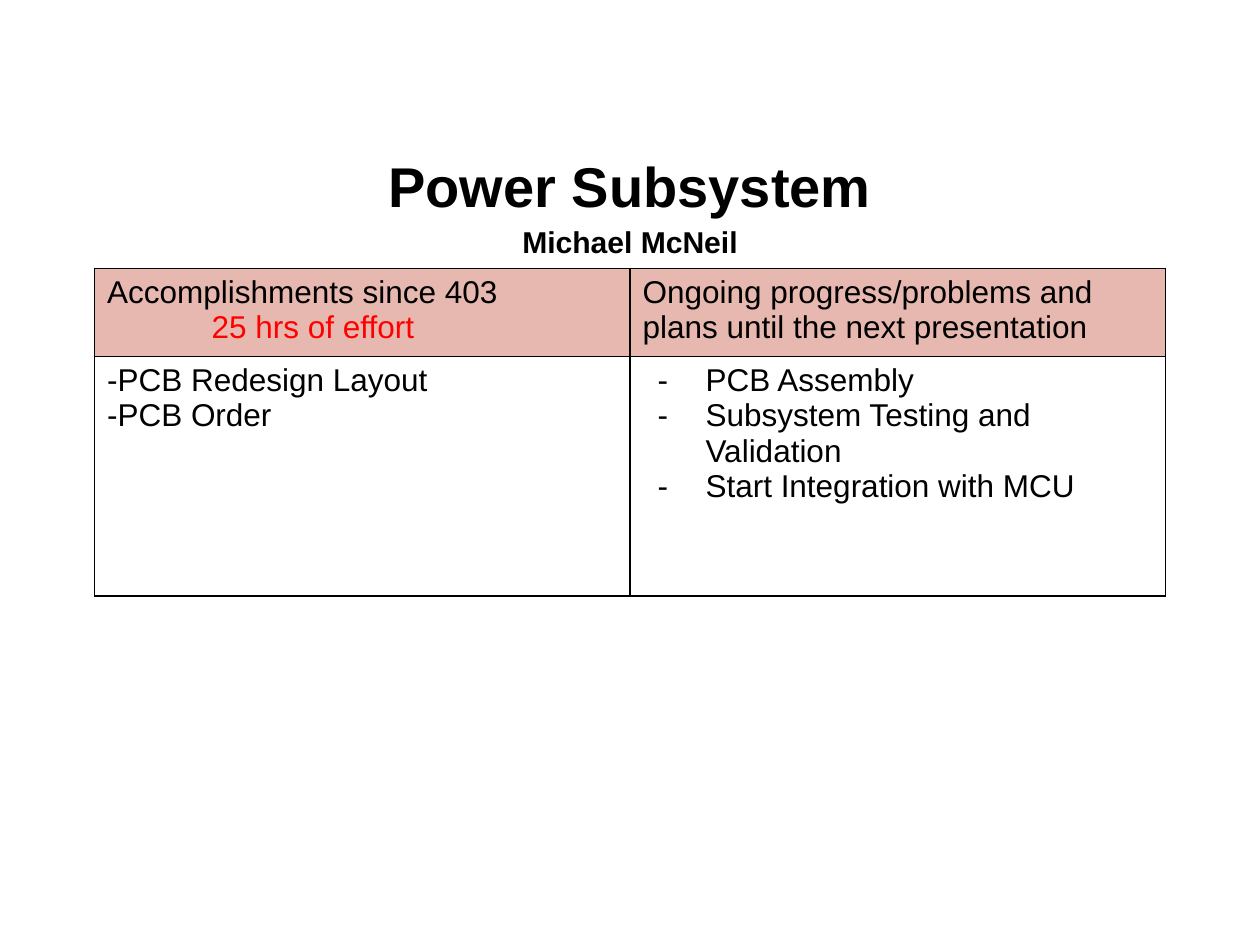
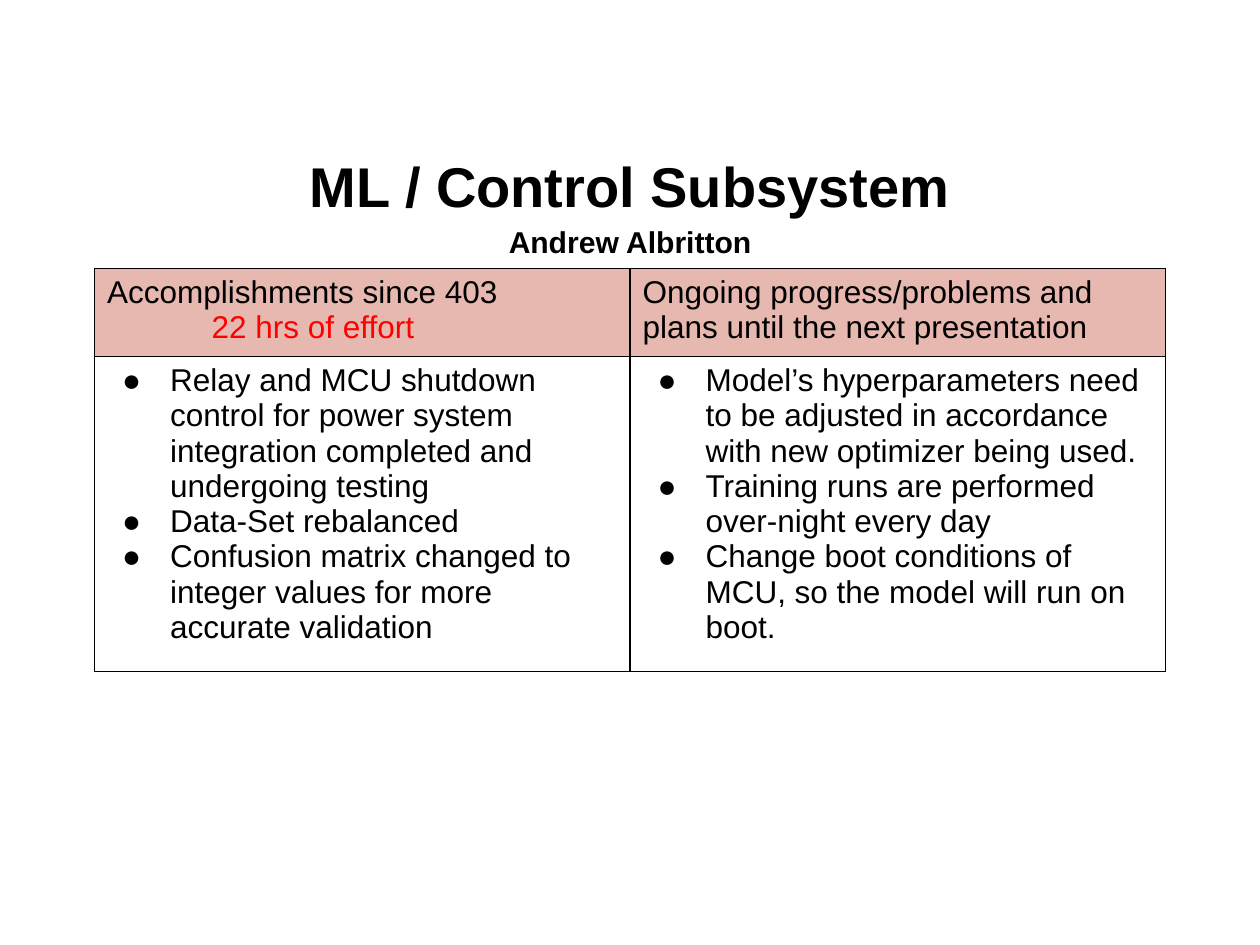
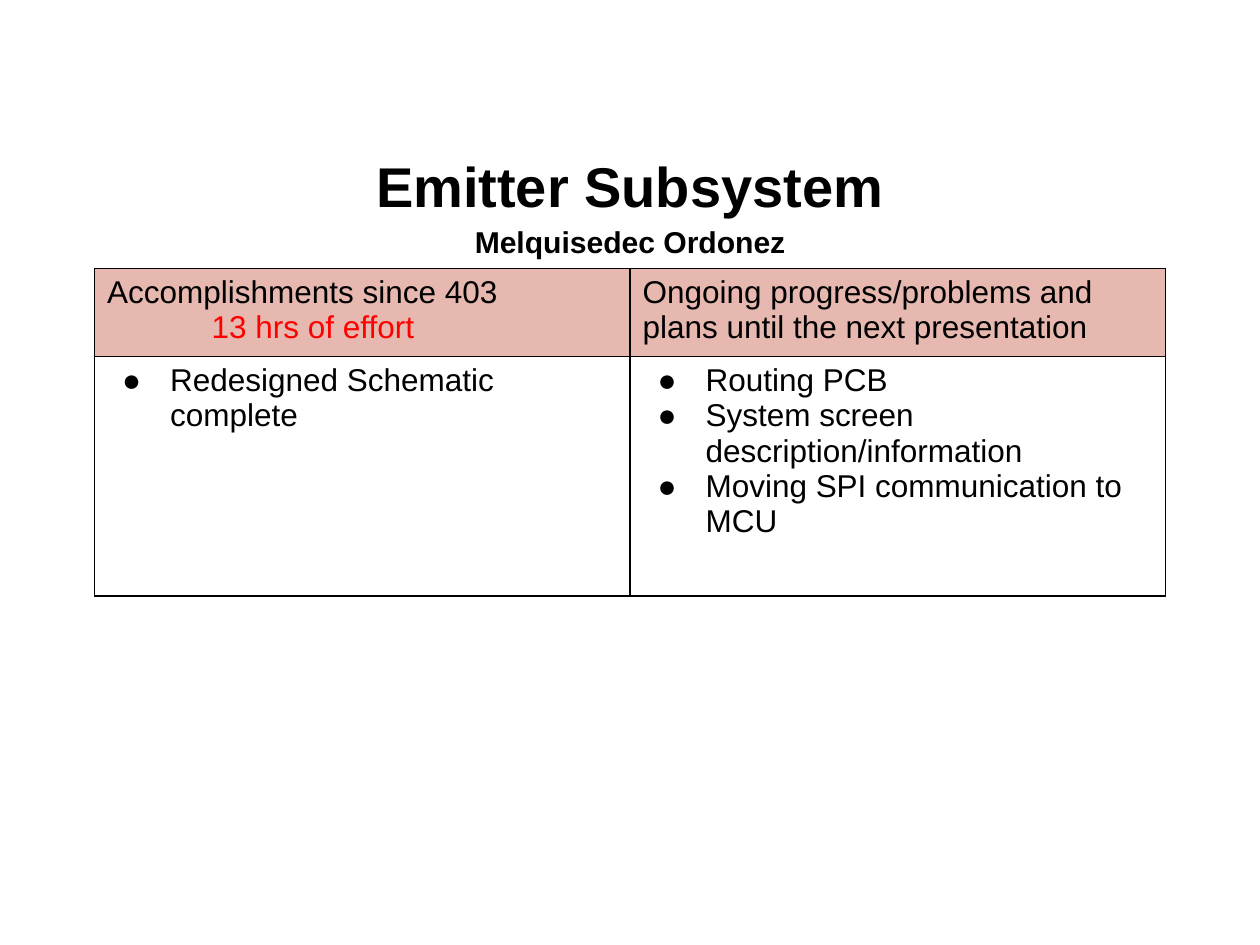
from dataclasses import dataclass

from pptx import Presentation
from pptx.dml.color import RGBColor
from pptx.enum.text import MSO_ANCHOR, PP_ALIGN
from pptx.oxml.ns import qn
from pptx.presentation import Presentation as Deck
from pptx.slide import Slide
from pptx.table import _Cell as Cell
from pptx.text.text import _Paragraph as Paragraph
from pptx.util import Inches, Pt
from lxml.etree import SubElement

BLACK = RGBColor(0x00, 0x00, 0x00)
RED = RGBColor(0xFF, 0x00, 0x00)
HEADER_FILL = RGBColor(0xE6, 0xB8, 0xAF)

FONT = "Arial"
BODY_SIZE = 18
COLUMN_WIDTH = Inches(4.25)
ROW_HEIGHTS = (Inches(0.7), Inches(1.9))
BULLET_INDENT = Inches(0.5)
BULLET_HANGING = Inches(-0.38)
EFFORT_INDENT = Inches(0.83)
BORDER_WIDTH = Pt(1)

PLANS_HEADING = "Ongoing progress/problems and plans until the next presentation"


@dataclass(frozen=True)
class Line:
    text: str
    color: RGBColor = BLACK
    indent: int = 0
    bullet: str = ""


@dataclass(frozen=True)
class Status:
    subsystem: str
    owner: str
    hours: int
    accomplishments: list[Line]
    plans: list[Line]


def list_lines(bullet: str, *texts: str) -> list[Line]:
    indent = BULLET_INDENT if bullet else 0
    return [Line(text, indent=indent, bullet=bullet) for text in texts]


STATUSES = [
    Status(
        "Power Subsystem", "Michael McNeil", 25,
        list_lines("", "-PCB Redesign Layout", "-PCB Order"),
        list_lines(
            "-",
            "PCB Assembly",
            "Subsystem Testing and Validation",
            "Start Integration with MCU",
        ),
    ),
    Status(
        "ML / Control Subsystem", "Andrew Albritton", 22,
        list_lines(
            "●",
            "Relay and MCU shutdown control for power system integration "
            "completed and undergoing testing",
            "Data-Set rebalanced",
            "Confusion matrix changed to integer values for more accurate validation",
        ),
        list_lines(
            "●",
            "Model’s hyperparameters need to be adjusted in accordance with "
            "new optimizer being used.",
            "Training runs are performed over-night every day",
            "Change boot conditions of MCU, so the model will run on boot.",
        ),
    ),
    Status(
        "Emitter Subsystem", "Melquisedec Ordonez", 13,
        list_lines("●", "Redesigned Schematic complete"),
        list_lines(
            "●",
            "Routing PCB",
            "System screen description/information",
            "Moving SPI communication to MCU",
        ),
    ),
]


def style_font(paragraph: Paragraph, size: float, color: RGBColor = BLACK,
               bold: bool = False) -> None:
    font = paragraph.font
    font.name, font.size, font.bold = FONT, Pt(size), bold
    font.color.rgb = color


def set_indent(paragraph: Paragraph, line: Line) -> None:
    properties = paragraph._p.get_or_add_pPr()
    properties.set("marL", str(line.indent))
    properties.set("indent", str(BULLET_HANGING if line.bullet else 0))
    if line.bullet:
        bullet_color = SubElement(properties, qn("a:buClr"))
        SubElement(bullet_color, qn("a:srgbClr"), val=str(BLACK))
        SubElement(properties, qn("a:buFont"), typeface=FONT)
        SubElement(properties, qn("a:buChar"), char=line.bullet)


def add_borders(cell: Cell) -> None:
    properties = cell._tc.get_or_add_tcPr()
    for side in ("lnL", "lnR", "lnT", "lnB"):
        border = SubElement(properties, qn(f"a:{side}"), w=str(BORDER_WIDTH))
        fill = SubElement(border, qn("a:solidFill"))
        SubElement(fill, qn("a:srgbClr"), val=str(BLACK))


def fill_cell(cell: Cell, lines: list[Line], is_header: bool) -> None:
    add_borders(cell)
    if is_header:
        cell.fill.solid()
        cell.fill.fore_color.rgb = HEADER_FILL
    else:
        cell.fill.background()
    frame = cell.text_frame
    for index, line in enumerate(lines):
        paragraph = frame.add_paragraph() if index else frame.paragraphs[0]
        paragraph.text = line.text
        set_indent(paragraph, line)
        style_font(paragraph, BODY_SIZE, line.color)


def add_title(slide: Slide, status: Status) -> None:
    box = slide.shapes.add_textbox(Inches(0.5), Inches(1.15), Inches(9), Inches(0.88))
    frame = box.text_frame
    frame.word_wrap = True
    frame.vertical_anchor = MSO_ANCHOR.MIDDLE
    title, owner = frame.paragraphs[0], frame.add_paragraph()
    for paragraph, text, size in (
        (title, status.subsystem, 32),
        (owner, status.owner, 17.2),
    ):
        paragraph.text = text
        paragraph.alignment = PP_ALIGN.CENTER
        paragraph.line_spacing = 1.15
        style_font(paragraph, size, bold=True)


def add_status_table(slide: Slide, status: Status) -> None:
    headings = [
        [
            Line("Accomplishments since 403"),
            Line(f"{status.hours} hrs of effort", RED, EFFORT_INDENT),
        ],
        [Line(PLANS_HEADING)],
    ]
    rows = [headings, [status.accomplishments, status.plans]]
    table = slide.shapes.add_table(
        2, 2, Inches(0.75), Inches(2.13), COLUMN_WIDTH * 2, sum(ROW_HEIGHTS)
    ).table
    table.first_row = table.horz_banding = False
    for column in table.columns:
        column.width = COLUMN_WIDTH
    for row_index, (height, row) in enumerate(zip(ROW_HEIGHTS, rows)):
        table.rows[row_index].height = height
        for column_index, lines in enumerate(row):
            fill_cell(table.cell(row_index, column_index), lines, row_index == 0)


def add_status_slide(presentation: Deck, status: Status) -> None:
    slide = presentation.slides.add_slide(presentation.slide_layouts[6])
    add_title(slide, status)
    add_status_table(slide, status)


def main() -> None:
    presentation = Presentation()
    presentation.slide_width, presentation.slide_height = Inches(10), Inches(7.5)
    for status in STATUSES:
        add_status_slide(presentation, status)
    presentation.save("out.pptx")


if __name__ == "__main__":
    main()
